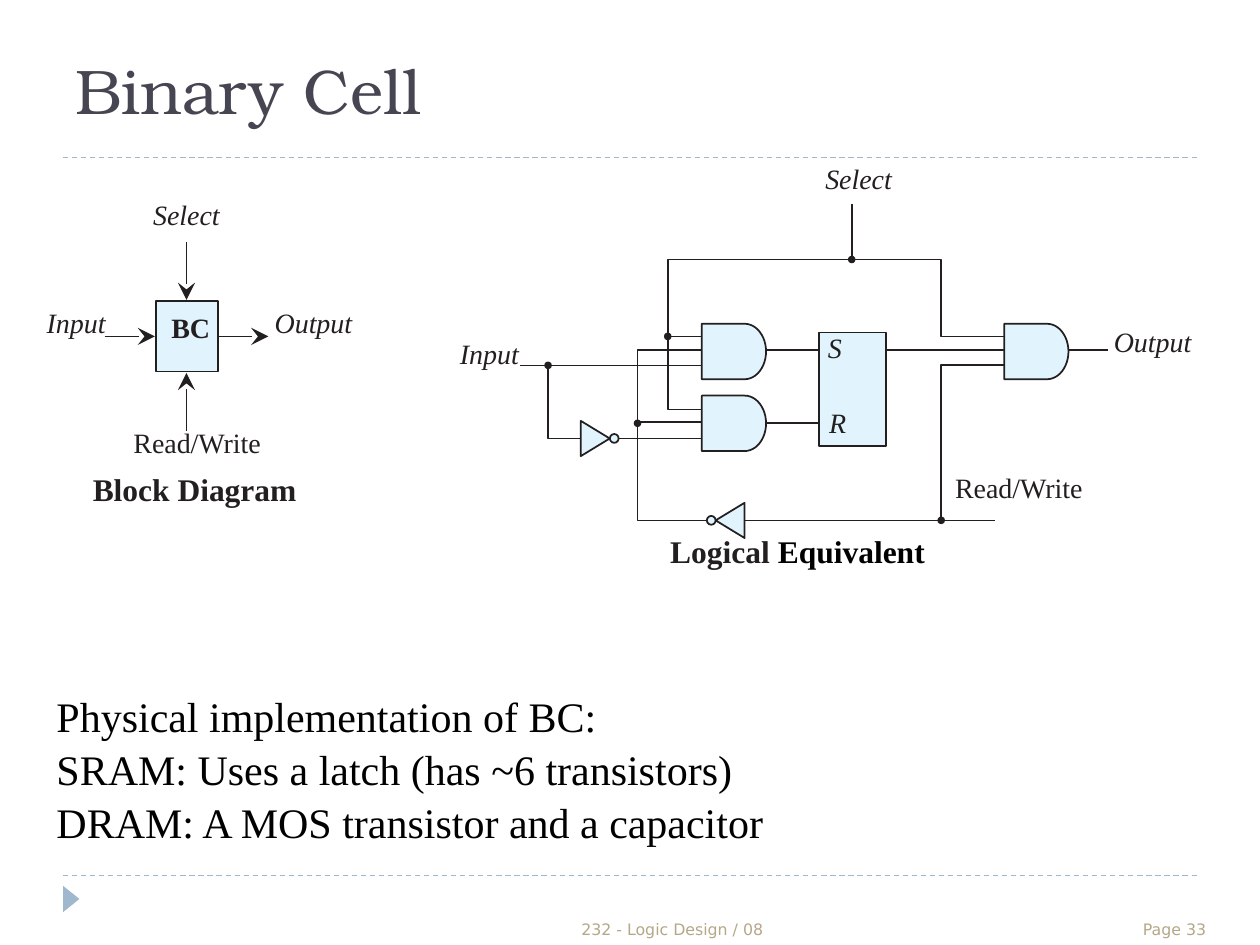
from dataclasses import dataclass
from math import cos, pi, sin

from lxml.etree import SubElement
from pptx import Presentation
from pptx.dml.color import RGBColor
from pptx.enum.dml import MSO_LINE
from pptx.enum.shapes import MSO_CONNECTOR, MSO_SHAPE
from pptx.enum.text import MSO_ANCHOR, PP_ALIGN
from pptx.oxml.ns import qn
from pptx.util import Inches, Pt


@dataclass(frozen=True)
class Theme:
    title_font: str = "TeX Gyre Bonum"
    body_font: str = "Times New Roman"
    footer_font: str = "DejaVu Sans"
    title: str = "464653"
    accent: str = "9FB8CD"
    footer: str = "B5A788"
    ink: str = "231F20"
    black: str = "000000"
    gate: str = "E1F4FD"
    title_size: int = 36
    body_size: int = 24
    caption_size: int = 18
    label_size: int = 16
    footer_size: int = 9
    wire_width: float = 1
    rule_width: float = 0.75


THEME = Theme()
GATE_HEIGHT = 0.44


def add_run(paragraph, text, font, size, color, bold=False, italic=False):
    run = paragraph.add_run()
    run.text = text
    run.font.name = font
    run.font.size = Pt(size)
    run.font.color.rgb = RGBColor.from_string(color)
    run.font.bold = bold
    run.font.italic = italic


def add_text(slide, text, left, top, width, height, *, font=THEME.body_font,
             size=THEME.label_size, color=THEME.ink, bold=False, italic=False,
             align=PP_ALIGN.LEFT, anchor=MSO_ANCHOR.TOP, spacing=None,
             insets=(0.1, 0.05, 0.1, 0.05), wrap=True):
    """Add a text box with one paragraph per line of text; return its last paragraph."""
    box = slide.shapes.add_textbox(Inches(left), Inches(top), Inches(width), Inches(height))
    frame = box.text_frame
    frame.word_wrap = wrap
    frame.vertical_anchor = anchor
    (frame.margin_left, frame.margin_top,
     frame.margin_right, frame.margin_bottom) = map(Inches, insets)
    for index, line in enumerate(text.split("\n")):
        paragraph = frame.add_paragraph() if index else frame.paragraphs[0]
        paragraph.alignment = align
        if spacing:
            paragraph.line_spacing = spacing
        add_run(paragraph, line, font, size, color, bold, italic)
    return paragraph


def add_label(slide, text, left, top, width, **text_format):
    """Add diagram text on a tight 8 pt line."""
    return add_text(slide, text, left, top, width, 0.16, spacing=Pt(8),
                    insets=(0, 0, 0, 0.05), **text_format)


def style_shape(shape, fill=None, line=None):
    shape.shadow.inherit = False
    if fill:
        shape.fill.solid()
        shape.fill.fore_color.rgb = RGBColor.from_string(fill)
    else:
        shape.fill.background()
    if line:
        shape.line.color.rgb = RGBColor.from_string(line)
        shape.line.width = Pt(THEME.wire_width)
    else:
        shape.line.fill.background()


def add_line(slide, start, end, color=THEME.ink, width=THEME.wire_width,
             dashed=False, arrow=False):
    line = slide.shapes.add_connector(MSO_CONNECTOR.STRAIGHT, *map(Inches, start + end))
    line.line.color.rgb = RGBColor.from_string(color)
    line.line.width = Pt(width)
    if dashed:
        line.line.dash_style = MSO_LINE.DASH
    if arrow:
        SubElement(line.line._get_or_add_ln(), qn("a:tailEnd"),
                   type="stealth", w="lg", len="lg")
    SubElement(line._element.spPr, qn("a:effectLst"))


def add_outline(slide, points, fill=None, closed=True):
    (first, *rest) = [(Inches(x), Inches(y)) for x, y in points]
    builder = slide.shapes.build_freeform(*first)
    builder.add_line_segments(rest, close=closed)
    style_shape(builder.convert_to_shape(), fill, THEME.ink)


def add_wire(slide, *points):
    if len(points) == 2:
        add_line(slide, *points)
    else:
        add_outline(slide, points, closed=False)


def add_preset(slide, kind, left, top, width, height, fill, line=None):
    shape = slide.shapes.add_shape(kind, *map(Inches, (left, top, width, height)))
    style_shape(shape, fill, line)
    return shape


def add_and_gate(slide, left, top):
    flat, bulge, radius, steps = 0.34, 0.17, GATE_HEIGHT / 2, 24
    angles = [pi * step / steps - pi / 2 for step in range(steps + 1)]
    curve = [(left + flat + bulge * cos(a), top + radius + radius * sin(a)) for a in angles]
    add_outline(slide, [(left, top), *curve, (left, top + GATE_HEIGHT)], THEME.gate)


def add_inverter(slide, base, tip, y):
    """Add a triangle from base to tip with a bubble just past the tip."""
    add_outline(slide, [(base, y - 0.14), (tip, y), (base, y + 0.14)], THEME.gate)
    bubble = 0.07
    left = tip if tip > base else tip - bubble
    add_preset(slide, MSO_SHAPE.OVAL, left, y - bubble / 2, bubble, bubble,
               THEME.gate, THEME.ink)


def add_junction(slide, x, y):
    add_preset(slide, MSO_SHAPE.OVAL, x - 0.03, y - 0.03, 0.06, 0.06, THEME.ink)


def add_frame(slide):
    for y in (1.25, 6.95):
        add_line(slide, (0.5, y), (9.5, y), THEME.accent, THEME.rule_width, dashed=True)
    marker = add_preset(slide, MSO_SHAPE.ISOSCELES_TRIANGLE, 0.46, 7.07, 0.21, 0.13,
                        THEME.accent)
    marker.rotation = 90
    add_text(slide, "Binary Cell", 0.5, 0.17, 9, 1.08, font=THEME.title_font,
             size=THEME.title_size, color=THEME.title, anchor=MSO_ANCHOR.MIDDLE)
    for text, left, width, align in (
            ("232 - Logic Design / 08", 2.75, 5.17, PP_ALIGN.CENTER),
            ("Page 33", 8.75, 0.92, PP_ALIGN.RIGHT)):
        add_text(slide, text, left, 7.25, width, 0.25, font=THEME.footer_font,
                 size=THEME.footer_size, color=THEME.footer, align=align,
                 anchor=MSO_ANCHOR.BOTTOM)


def add_block_diagram(slide):
    add_preset(slide, MSO_SHAPE.RECTANGLE, 1.24, 2.39, 0.49, 0.56, THEME.gate, THEME.ink)
    for start, end in (((0.83, 2.67), (1.23, 2.67)), ((1.73, 2.67), (2.13, 2.67)),
                       ((1.48, 3.42), (1.48, 2.96)), ((1.48, 1.92), (1.48, 2.38))):
        add_line(slide, start, end, arrow=True)
    add_label(slide, "BC", 1.36, 2.62, 0.35, bold=True)
    add_label(slide, "Output", 2.18, 2.58, 0.65, italic=True)
    add_label(slide, "Input", 0.37, 2.58, 0.55, italic=True)
    add_label(slide, "Select", 1.13, 1.72, 0.7, italic=True, align=PP_ALIGN.CENTER)
    add_label(slide, "Read/Write", 0.99, 3.53, 1.15, align=PP_ALIGN.CENTER)
    add_label(slide, "Block Diagram", 0.35, 3.92, 2.39, size=THEME.caption_size,
              bold=True, align=PP_ALIGN.CENTER)


def add_logic_diagram(slide):
    wires = (
        ((6.76, 1.62), (6.76, 2.06)),
        ((7.97, 2.67), (7.47, 2.67), (7.47, 2.06), (5.3, 2.06), (5.3, 3.25), (5.57, 3.25)),
        ((5.3, 2.67), (5.57, 2.67)),
        ((7.97, 2.9), (7.47, 2.9), (7.47, 4.13)),
        ((5.91, 4.13), (7.9, 4.13)),
        ((5.57, 2.78), (5.06, 2.78), (5.06, 4.13), (5.6, 4.13)),
        ((5.06, 3.35), (5.57, 3.35)),
        ((4.13, 2.9), (5.57, 2.9)),
        ((4.61, 3.48), (4.35, 3.48), (4.35, 2.9)),
        ((4.91, 3.48), (5.57, 3.48)),
        ((6.08, 2.78), (6.5, 2.78)),
        ((6.08, 3.36), (6.5, 3.36)),
        ((7.03, 2.78), (7.97, 2.78)),
        ((8.48, 2.78), (8.79, 2.78)),
    )
    for points in wires:
        add_wire(slide, *points)
    for left, top in ((7.97, 2.57), (5.57, 2.57), (5.57, 3.14)):
        add_and_gate(slide, left, top)
    add_preset(slide, MSO_SHAPE.RECTANGLE, 6.5, 2.64, 0.53, 0.9, THEME.gate, THEME.ink)
    add_inverter(slide, 4.61, 4.84, 3.48)
    add_inverter(slide, 5.91, 5.68, 4.13)
    for x, y in ((5.3, 2.67), (4.35, 2.9), (5.06, 3.36), (7.47, 4.13), (6.76, 2.06)):
        add_junction(slide, x, y)
    for text, left, top, width in (
            ("S", 6.57, 2.78, 0.3), ("R", 6.58, 3.37, 0.34), ("Select", 6.55, 1.44, 1.11),
            ("Input", 3.65, 2.83, 0.55), ("Output", 8.84, 2.73, 0.66)):
        add_label(slide, text, left, top, width, italic=True)
    add_label(slide, "Read/Write", 7.58, 3.89, 1.22)
    caption = add_label(slide, "Logical ", 4.76, 4.41, 3.14, size=THEME.caption_size,
                        bold=True, align=PP_ALIGN.CENTER)
    add_run(caption, "Equivalent", THEME.body_font, THEME.caption_size, THEME.black, bold=True)


def main():
    presentation = Presentation()
    presentation.slide_width, presentation.slide_height = Inches(10), Inches(7.5)
    slide = presentation.slides.add_slide(presentation.slide_layouts[6])
    add_frame(slide)
    add_logic_diagram(slide)
    add_block_diagram(slide)
    add_text(slide, "Physical implementation of BC:\n"
             "SRAM: Uses a latch (has ~6 transistors)\n"
             "DRAM: A MOS transistor and a capacitor",
             0.35, 5.41, 5.87, 1.4, size=THEME.body_size, color=THEME.black,
             spacing=1.05, wrap=False)
    presentation.save("out.pptx")


if __name__ == "__main__":
    main()
